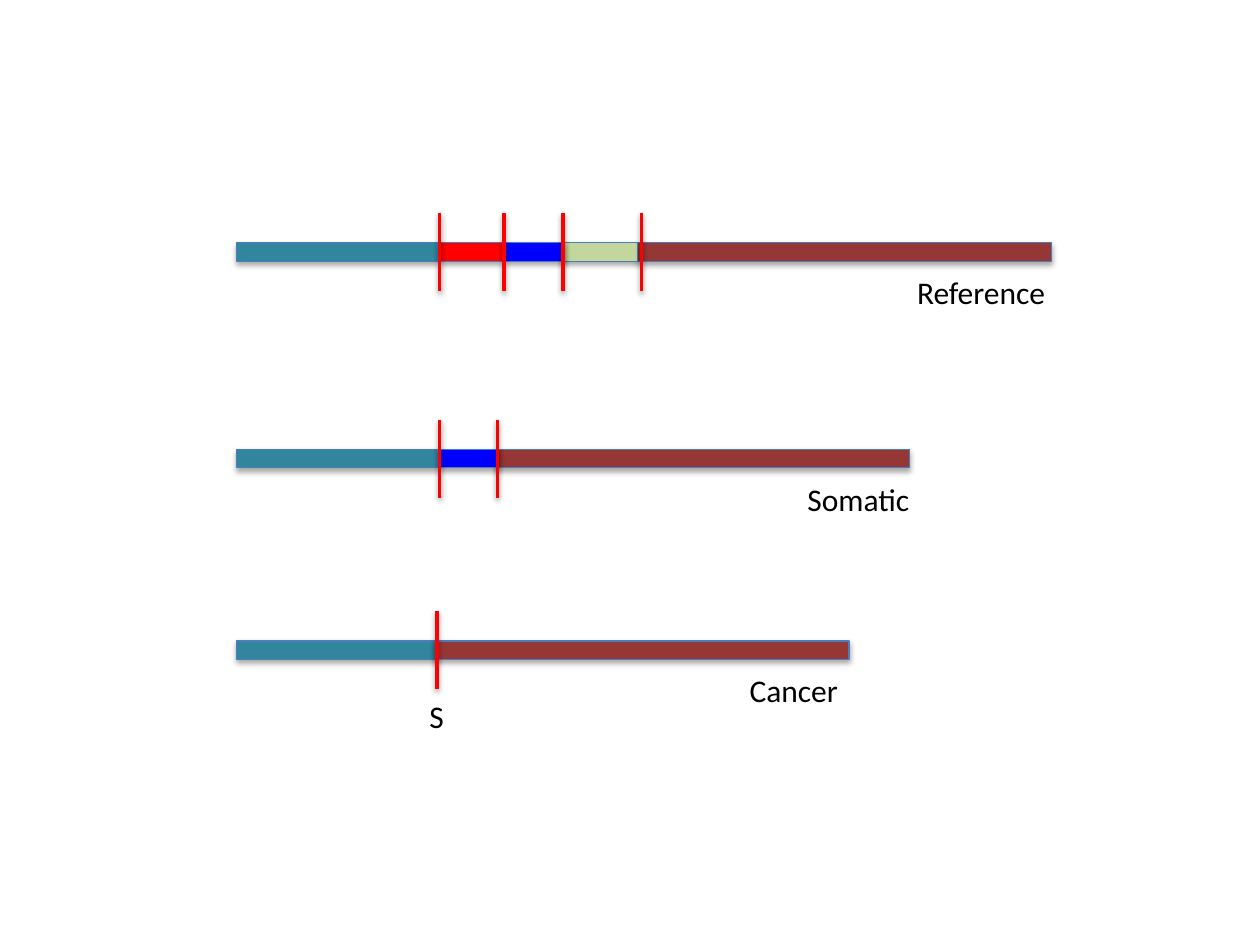
from pptx import Presentation
from pptx.dml.color import RGBColor
from pptx.enum.shapes import MSO_CONNECTOR, MSO_SHAPE
from pptx.enum.text import MSO_AUTO_SIZE
from pptx.util import Inches, Pt

TEAL, BROWN, RED, BLUE, GREEN = "31859C", "953735", "FF0000", "0000FF", "C3D69B"
OUTLINE, BLACK = "4B7EBC", "000000"
BAND_HEIGHT = 0.62
LABEL_DROP, LABEL_HEIGHT = 0.43, 0.4

GENOMES = [
    {
        "top": 1.69,
        "segments": [(1.59, 2.17, TEAL), (3.41, 0.67, RED), (4.47, 4.47, BROWN),
                     (4.36, 0.81, GREEN), (3.93, 0.63, BLUE)],
        "breakpoints": [3.49, 4.0, 4.47, 5.09],
        "label": ("Reference", 7.18, 1.23),
    },
    {
        "top": 3.33,
        "segments": [(1.59, 2.17, TEAL), (3.36, 4.45, BROWN), (3.41, 0.63, BLUE)],
        "breakpoints": [3.49, 3.95],
        "label": ("Somatic", 6.31, 1.02),
    },
    {
        "top": 4.85,
        "segments": [(1.59, 2.17, TEAL), (2.87, 4.46, BROWN)],
        "breakpoints": [3.47],
        "label": ("Cancer", 5.85, 0.91),
    },
]
BREAKPOINT_NAME = ("S", 3.31, 0.32)


def color(hex_value):
    return RGBColor.from_string(hex_value)


def add_segment(shapes, left, top, width, fill):
    segment = shapes.add_shape(MSO_SHAPE.MATH_MINUS, Inches(left), Inches(top),
                               Inches(width), Inches(BAND_HEIGHT))
    segment.fill.solid()
    segment.fill.fore_color.rgb = color(fill)
    segment.line.color.rgb = color(OUTLINE)
    segment.line.width = Pt(0.75)


def add_breakpoint(shapes, x, top):
    marker = shapes.add_connector(MSO_CONNECTOR.STRAIGHT, Inches(x), Inches(top),
                                  Inches(x), Inches(top + BAND_HEIGHT))
    marker.line.color.rgb = color(RED)
    marker.line.width = Pt(2)


def add_label(shapes, text, left, width, top):
    frame = shapes.add_textbox(Inches(left), Inches(top), Inches(width),
                               Inches(LABEL_HEIGHT)).text_frame
    frame.word_wrap = False
    frame.auto_size = MSO_AUTO_SIZE.SHAPE_TO_FIT_TEXT
    frame.text = text
    font = frame.paragraphs[0].font
    font.name, font.size = "Calibri", Pt(18)
    font.color.rgb = color(BLACK)


def main():
    deck = Presentation()
    deck.slide_width, deck.slide_height = Inches(10), Inches(7.5)
    shapes = deck.slides.add_slide(deck.slide_layouts[6]).shapes
    for genome in GENOMES:
        top = genome["top"]
        for left, width, fill in genome["segments"]:
            add_segment(shapes, left, top, width, fill)
        for x in genome["breakpoints"]:
            add_breakpoint(shapes, x, top)
        add_label(shapes, *genome["label"], top + LABEL_DROP)
    add_label(shapes, *BREAKPOINT_NAME, GENOMES[-1]["top"] + BAND_HEIGHT + 0.01)
    deck.save("out.pptx")


if __name__ == "__main__":
    main()
